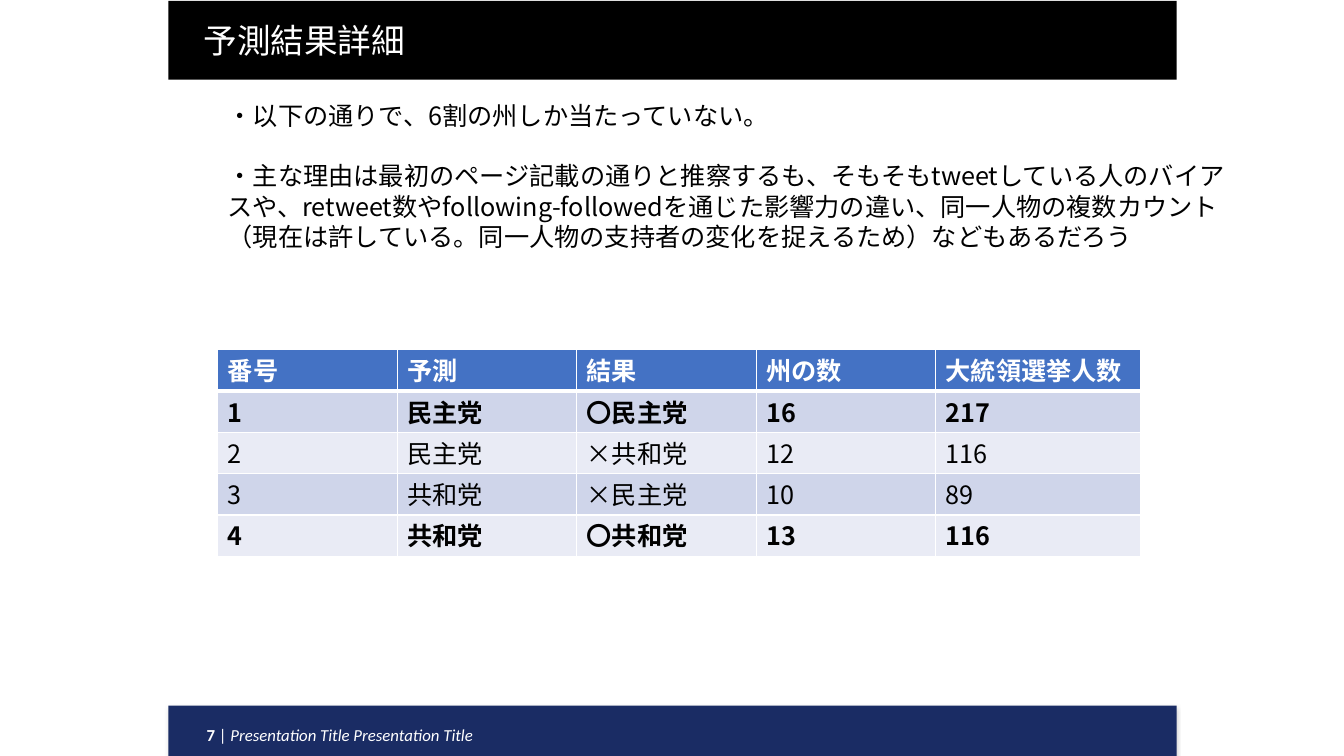
from lxml.etree import SubElement
from pptx import Presentation
from pptx.dml.color import RGBColor
from pptx.enum.shapes import MSO_SHAPE as Shape
from pptx.oxml.ns import qn
from pptx.util import Inches, Pt

COLORS = {
    "black": "000000",
    "white": "FFFFFF",
    "navy": "1A2C64",
    "header": "4472C4",
    "odd": "CFD5EA",
    "even": "E9EBF5",
    "shadow": "808080",
}
LATIN = "Calibri"
JAPANESE = "Noto Sans CJK JP"
LINE = 21.5

REMARKS = [
    "・以下の通りで、6割の州しか当たっていない。",
    "・主な理由は最初のページ記載の通りと推察するも、そもそもtweetしている人のバイアスや、"
    "retweet数やfollowing-followedを通じた影響力の違い、同一人物の複数カウント"
    "（現在は許している。同一人物の支持者の変化を捉えるため）などもあるだろう",
]
RESULTS = [
    ["番号", "予測", "結果", "州の数", "大統領選挙人数"],
    ["1", "民主党", "〇民主党", "16", "217"],
    ["2", "民主党", "×共和党", "12", "116"],
    ["3", "共和党", "×民主党", "10", "89"],
    ["4", "共和党", "〇共和党", "13", "116"],
]
COLUMN_WIDTHS = [1.78, 1.78, 1.78, 1.78, 2.03]
ROW_HEIGHT = 0.41
BOLD_ROWS = {0, 1, 4}


def color(name):
    return RGBColor.from_string(COLORS[name])


def write(para, text, size=18, font=LATIN, fill="black", bold=False, italic=False, line=None):
    span = para.add_run()
    span.text = text
    span.font.size = Pt(size)
    span.font.name = font
    span.font.bold = bold
    span.font.italic = italic
    span.font.color.rgb = color(fill)
    if font == JAPANESE:
        SubElement(span.font._element, qn("a:ea"), typeface=font)
    if line:
        para.line_spacing = Pt(line)


def add_frame(page, left, top, width, height):
    box = page.shapes.add_textbox(Inches(left), Inches(top), Inches(width), Inches(height))
    box.text_frame.word_wrap = True
    return box.text_frame


def add_bar(page, top, height, fill):
    bar = page.shapes.add_shape(
        Shape.RECTANGLE, Inches(1.67), Inches(top), Inches(10), Inches(height)
    )
    bar.shadow.inherit = False
    bar.fill.solid()
    bar.fill.fore_color.rgb = color(fill)
    bar.line.fill.background()
    return bar


def add_shadow(bar):
    effects = bar._element.spPr.find(qn("a:effectLst"))
    shadow = SubElement(
        effects, qn("a:outerShdw"), blurRad=str(Pt(3.1)), dist=str(Pt(1.8)),
        dir="5400000", rotWithShape="0",
    )
    tint = SubElement(shadow, qn("a:srgbClr"), val=COLORS["shadow"])
    SubElement(tint, qn("a:alpha"), val="35000")


def style_cell(cell, fill, bottom):
    properties = cell._tc.get_or_add_tcPr()
    for side, width in (("L", 1), ("R", 1), ("T", 1), ("B", bottom)):
        border = SubElement(properties, qn(f"a:ln{side}"), w=str(Pt(width)))
        paint = SubElement(border, qn("a:solidFill"))
        SubElement(paint, qn("a:srgbClr"), val=COLORS["white"])
    cell.fill.solid()
    cell.fill.fore_color.rgb = color(fill)
    cell.margin_top = Inches(0.08)
    cell.margin_bottom = Inches(0.02)


def add_results(page):
    table = page.shapes.add_table(
        len(RESULTS), len(COLUMN_WIDTHS), Inches(2.16), Inches(3.47),
        Inches(sum(COLUMN_WIDTHS)), Inches(ROW_HEIGHT * len(RESULTS)),
    ).table
    for column, width in zip(table.columns, COLUMN_WIDTHS):
        column.width = Inches(width)
    for number, values in enumerate(RESULTS):
        table.rows[number].height = Inches(ROW_HEIGHT)
        is_header = number == 0
        fill = "header" if is_header else "odd" if number % 2 else "even"
        for index, value in enumerate(values):
            cell = table.cell(number, index)
            style_cell(cell, fill, 3 if number == 0 else 1)
            write(
                cell.text_frame.paragraphs[0], value, font=JAPANESE, line=LINE,
                fill="white" if is_header else "black", bold=number in BOLD_ROWS,
            )


def add_remarks(page):
    frame = add_frame(page, 2.16, 0.95, 10.1, 1.62)
    for index, remark in enumerate(REMARKS):
        para = frame.add_paragraph() if index else frame.paragraphs[0]
        para.space_before = Pt(LINE if index else 0)
        write(para, remark, font=JAPANESE, line=LINE)


def add_footer(page):
    add_shadow(add_bar(page, 7, 0.5, "navy"))
    para = add_frame(page, 1.95, 7.01, 7.42, 0.4).paragraphs[0]
    write(para, "7 ", size=12, fill="white", bold=True, line=24)
    write(para, "| ", size=12, fill="white")
    write(para, "Presentation Title Presentation Title", size=12, fill="white", italic=True)


def main():
    deck = Presentation()
    deck.slide_width = Inches(13.33)
    deck.slide_height = Inches(7.5)
    page = deck.slides.add_slide(deck.slide_layouts[6])
    add_bar(page, 0.01, 0.78, "black")
    title = add_frame(page, 1.92, 0.15, 8.58, 0.5)
    write(title.paragraphs[0], "予測結果詳細", size=24, fill="white")
    add_footer(page)
    add_remarks(page)
    add_results(page)
    deck.save("out.pptx")


if __name__ == "__main__":
    main()
